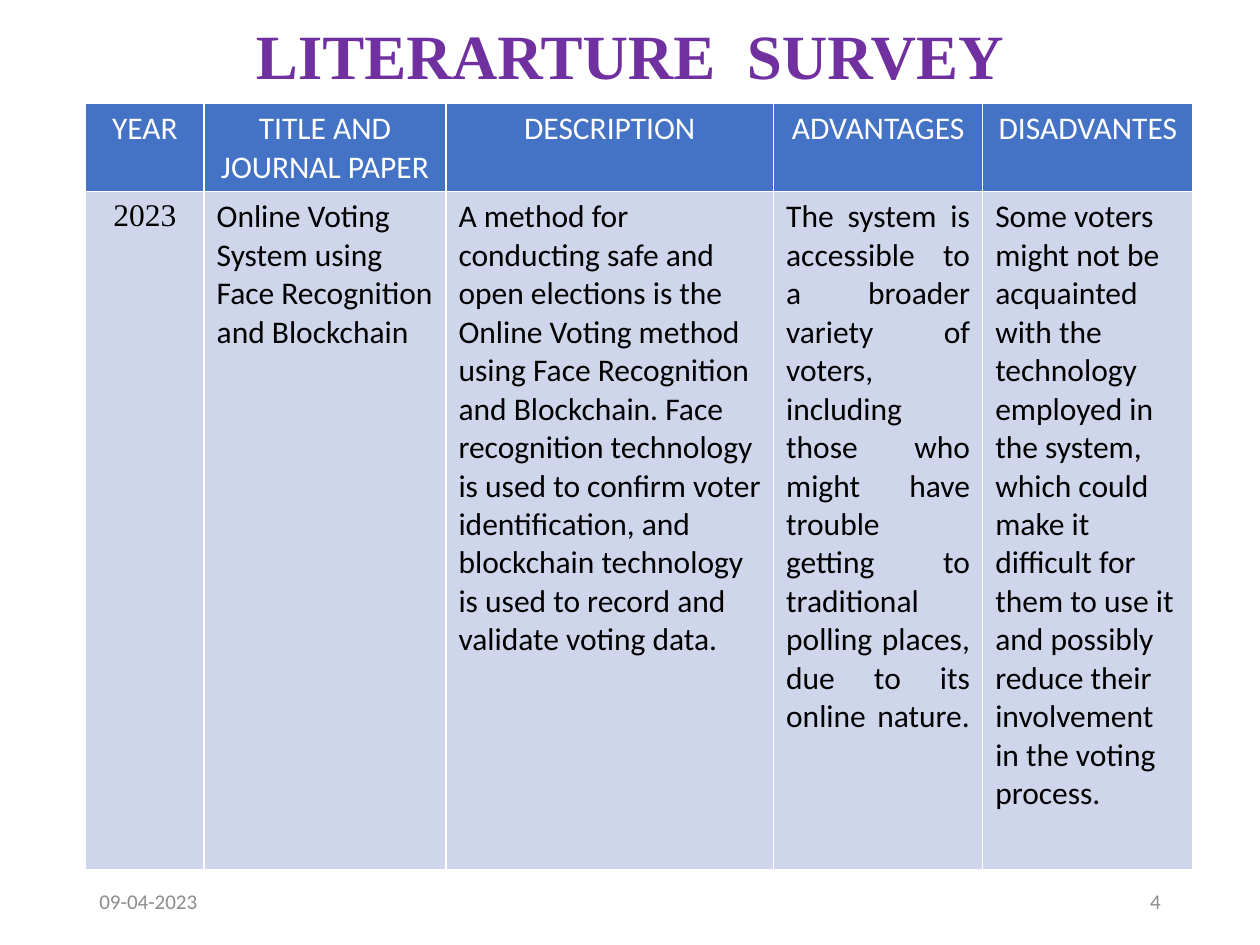
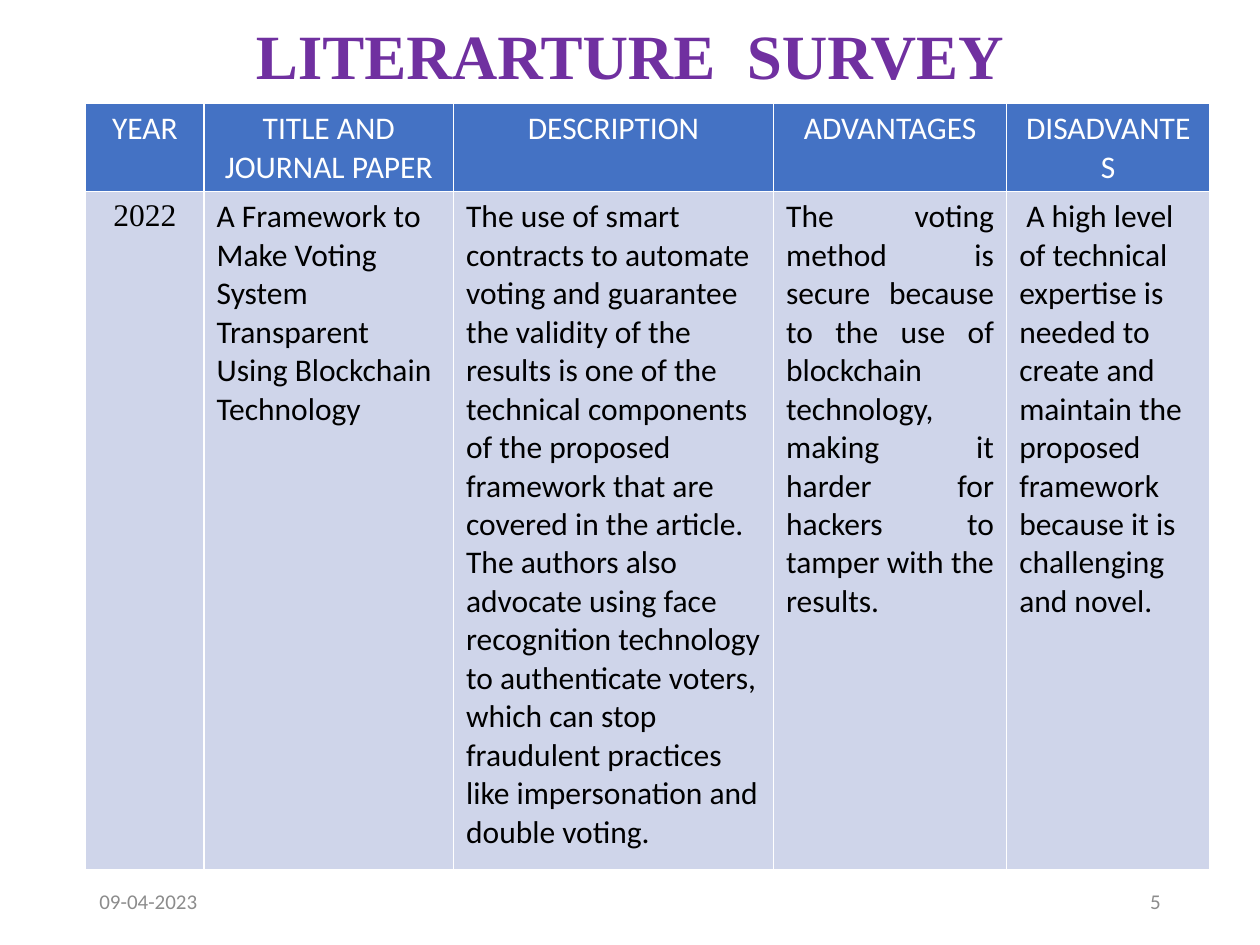
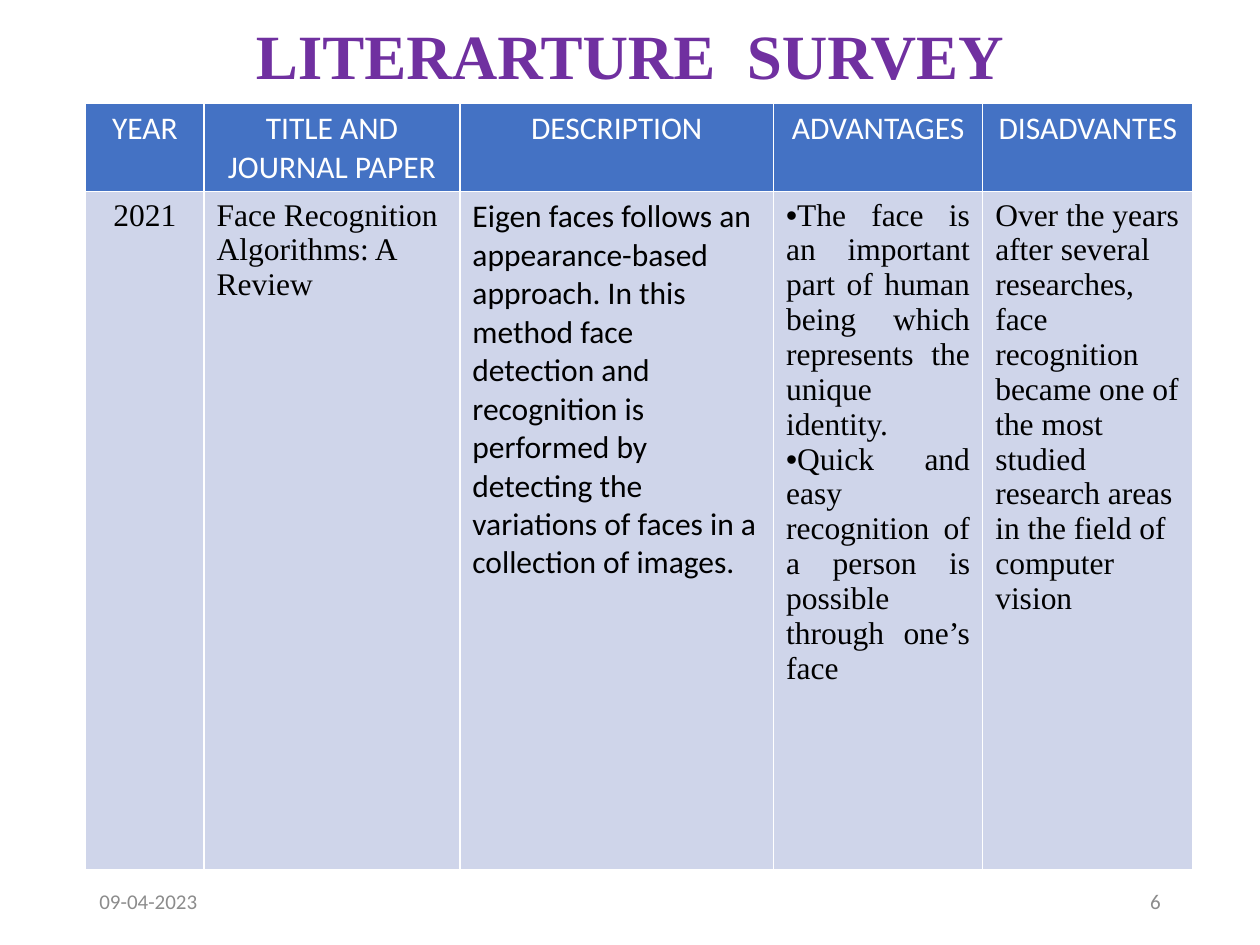
from lxml.etree import SubElement
from pptx import Presentation
from pptx.dml.color import RGBColor
from pptx.enum.text import MSO_ANCHOR, PP_ALIGN
from pptx.oxml.ns import qn
from pptx.util import Inches, Pt

# Content
TITLE = "LITERARTURE  SURVEY"
DATE = "09-04-2023"
FIRST_NUMBER = 4
HEADINGS = ["YEAR", "TITLE AND JOURNAL PAPER", "DESCRIPTION", "ADVANTAGES", "DISADVANTES"]

# Each cell is a list of paragraphs; \v is a line break
SURVEYS = [
    {
        "widths": [0.94, 1.92, 2.6, 1.66, 1.67],
        "serif_columns": {0},
        "cells": [
            ["2023"],
            ["Online Voting System using Face Recognition and Blockchain"],
            ["A method for conducting safe and open elections is the Online Voting method "
             "using Face Recognition and Blockchain. Face recognition technology is used to "
             "confirm voter identification, and blockchain technology is used to record and "
             "validate voting data."],
            ["The system is accessible to a broader variety of voters, including those who "
             "might have trouble getting to traditional polling places, due to its online "
             "nature.\v"],
            ["Some voters might not be acquainted with the technology employed in the system, "
             "which could make it difficult for them to use it and possibly reduce their "
             "involvement in the voting process."],
        ],
    },
    {
        "widths": [0.94, 1.98, 2.54, 1.85, 1.61],
        "serif_columns": {0},
        "cells": [
            ["2022"],
            ["A Framework to Make Voting System Transparent Using Blockchain Technology"],
            ["The use of smart contracts to automate voting and guarantee the validity of the "
             "results is one of the technical components of the proposed framework that are "
             "covered in the article. The authors also advocate using face recognition "
             "technology to authenticate voters, which can stop fraudulent practices like "
             "impersonation and double voting."],
            ["The voting method is secure because to the use of blockchain technology, making "
             "it harder for hackers to tamper with the results."],
            [" A high level of technical expertise is needed to create and maintain the "
             "proposed framework because it is challenging and novel."],
        ],
    },
    {
        "widths": [0.94, 2.03, 2.49, 1.66, 1.67],
        "serif_columns": {0, 1, 3, 4},
        "cells": [
            ["2021"],
            ["Face Recognition Algorithms: A Review"],
            ["Eigen faces follows an appearance-based approach. In this method face detection "
             "and recognition is performed by detecting the variations of faces in a "
             "collection of images."],
            ["The face is an important part of human being which represents the unique "
             "identity.",
             "Quick and easy recognition of a person is possible through one’s face"],
            ["Over the years after several researches, face recognition became one of the most "
             "studied research areas in the field of computer vision"],
        ],
    },
]

# Shared look
COLORS = {
    "title": "7030A0", "footer": "8C8C8C", "header": "4472C4",
    "body": "CFD5EA", "white": "FFFFFF", "black": "000000",
}
SANS, SERIF = "Calibri", "Times New Roman"
FORMATS = {
    "title": {"name": SERIF, "size": Pt(36), "bold": True},
    "footer": {"name": SANS, "size": Pt(12)},
    "sans": {"name": SANS, "size": Pt(18)},
    "serif": {"name": SERIF, "size": Pt(18)},
}
COLUMN_ALIGNMENTS = [PP_ALIGN.CENTER, PP_ALIGN.LEFT, PP_ALIGN.LEFT,
                     PP_ALIGN.JUSTIFY, PP_ALIGN.LEFT]
MARGIN, CONTENT_WIDTH = 0.69, 8.62
FOOTER_TOP, FOOTER_WIDTH, FOOTER_HEIGHT = 6.95, 2.25, 0.4
TABLE_LEFT, TABLE_TOP = 0.68, 0.82
ROW_HEIGHTS = [0.7, 5.38]


def write_paragraph(paragraph, text, style, color, alignment):
    paragraph.text = text
    paragraph.alignment = alignment
    for run in paragraph.runs:
        for attribute, value in FORMATS[style].items():
            setattr(run.font, attribute, value)
        run.font.color.rgb = RGBColor.from_string(COLORS[color])


def add_text(slide, box, text, style, alignment):
    shape = slide.shapes.add_textbox(*map(Inches, box))
    frame = shape.text_frame
    frame.word_wrap = True
    frame.vertical_anchor = MSO_ANCHOR.MIDDLE
    write_paragraph(frame.paragraphs[0], text, style, style, alignment)
    return frame.paragraphs[0]


def add_bullet(paragraph):
    properties = paragraph._p.get_or_add_pPr()
    SubElement(properties, qn("a:buFont"), typeface="Arial")
    SubElement(properties, qn("a:buChar"), char="•")


def paint_cell(cell, fill):
    properties = cell._tc.get_or_add_tcPr()
    for side in ("lnL", "lnR", "lnT", "lnB"):
        line = SubElement(properties, qn(f"a:{side}"), w=str(Pt(1)))
        line_fill = SubElement(line, qn("a:solidFill"))
        SubElement(line_fill, qn("a:srgbClr"), val=COLORS["white"])
    cell.fill.solid()
    cell.fill.fore_color.rgb = RGBColor.from_string(COLORS[fill])


def fill_cell(cell, paragraphs, fill, style, color, alignment):
    paint_cell(cell, fill)
    frame = cell.text_frame
    for index, text in enumerate(paragraphs):
        paragraph = frame.add_paragraph() if index else frame.paragraphs[0]
        write_paragraph(paragraph, text, style, color, alignment)
        if len(paragraphs) > 1:
            add_bullet(paragraph)


def add_survey_table(slide, survey):
    widths = survey["widths"]
    box = (TABLE_LEFT, TABLE_TOP, sum(widths), sum(ROW_HEIGHTS))
    table = slide.shapes.add_table(2, len(widths), *map(Inches, box)).table
    table.first_row = table.horz_banding = False
    for row, height in zip(table.rows, ROW_HEIGHTS):
        row.height = Inches(height)
    for index, width in enumerate(widths):
        table.columns[index].width = Inches(width)
        fill_cell(table.cell(0, index), [HEADINGS[index]], "header", "sans", "white",
                  PP_ALIGN.CENTER)
        style = "serif" if index in survey["serif_columns"] else "sans"
        fill_cell(table.cell(1, index), survey["cells"][index], "body", style, "black",
                  COLUMN_ALIGNMENTS[index])


def add_survey_slide(presentation, survey, number):
    slide = presentation.slides.add_slide(presentation.slide_layouts[6])
    # Title
    title = add_text(slide, (MARGIN, 0.18, CONTENT_WIDTH, 0.58), TITLE, "title",
                     PP_ALIGN.CENTER)
    title.line_spacing = 0.9
    # Footer
    number_left = MARGIN + CONTENT_WIDTH - FOOTER_WIDTH
    for left, text, alignment in ((MARGIN, DATE, PP_ALIGN.LEFT),
                                  (number_left, str(number), PP_ALIGN.RIGHT)):
        add_text(slide, (left, FOOTER_TOP, FOOTER_WIDTH, FOOTER_HEIGHT), text, "footer",
                 alignment)
    # Survey table
    add_survey_table(slide, survey)


def main():
    presentation = Presentation()
    presentation.slide_width = Inches(10)
    presentation.slide_height = Inches(7.5)
    for number, survey in enumerate(SURVEYS, FIRST_NUMBER):
        add_survey_slide(presentation, survey, number)
    presentation.save("out.pptx")


if __name__ == "__main__":
    main()
